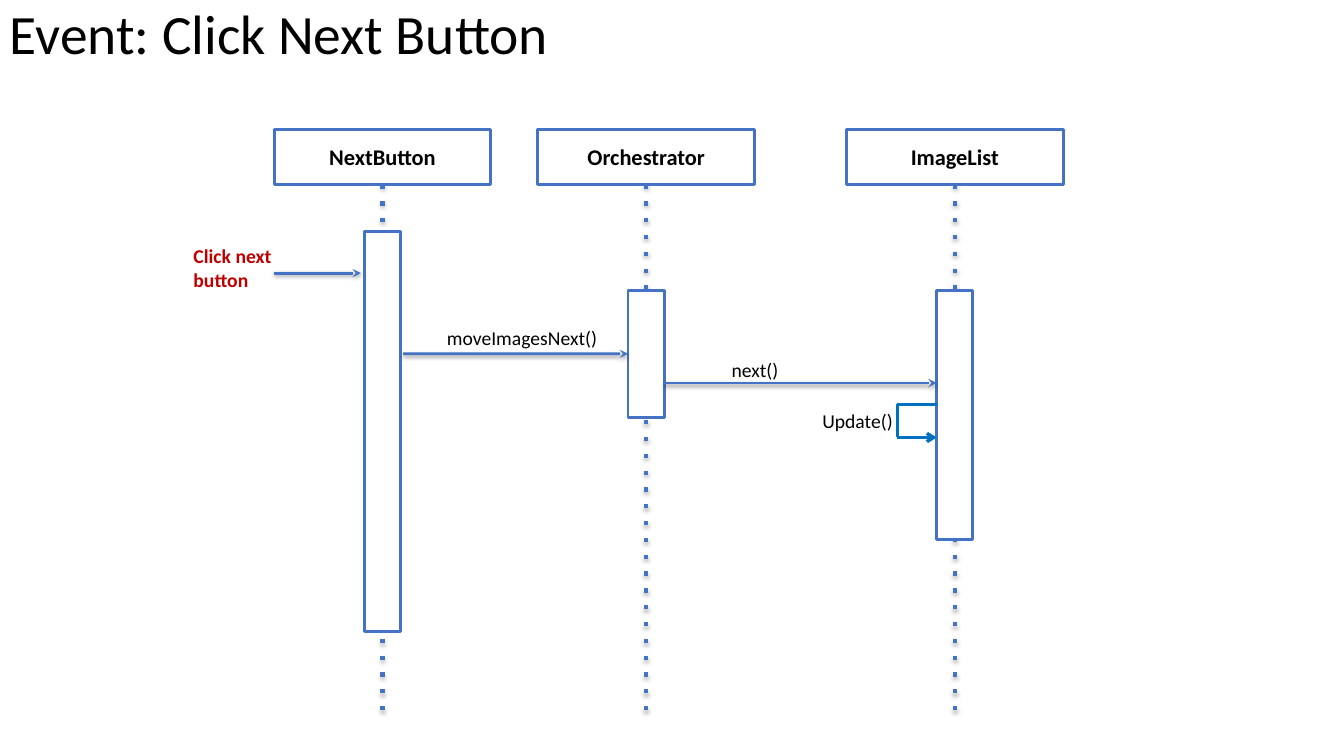
from dataclasses import dataclass

import pptx
import pptx.dml.color
import pptx.enum.shapes
import pptx.enum.text
import pptx.oxml.ns
import pptx.util
from lxml import etree

Pt = pptx.util.Pt
Align = pptx.enum.text.PP_ALIGN
Anchor = pptx.enum.text.MSO_ANCHOR
AutoSize = pptx.enum.text.MSO_AUTO_SIZE


@dataclass(frozen=True)
class Theme:
    font: str = "Calibri"
    ink: str = "000000"
    paper: str = "FFFFFF"
    blue: str = "4472C4"
    self_call: str = "0070C0"
    event: str = "C00000"
    title_size: float = 39.6
    head_size: float = 16
    label_size: float = 14
    outline: float = 2
    lifeline: float = 3
    self_call_line: float = 2.25


THEME = Theme()

# Shared measures of the sequence diagram
HEAD_TOP, HEAD_WIDTH, HEAD_HEIGHT = 92.2, 154.8, 39.6
BAR_WIDTH = 25.9
LIFELINE_END = 509.8
WIDE_INSETS = (8.6, 4.3)
SHADOW_BLUR = 3.1

# Name, centre of the lifeline, top and height of the activation bar
PARTICIPANTS = [
    ("NextButton", 273.2, 165.6, 285.8),
    ("Orchestrator", 461.6, 207.4, 90.7),
    ("ImageList", 682, 207.4, 177.8),
]


def rgb(value):
    return pptx.dml.color.RGBColor.from_string(value)


def add_xml(parent, tag, **attributes):
    return etree.SubElement(parent, pptx.oxml.ns.qn(tag), attributes)


def write(shape, text, size, color=THEME.ink, bold=False, align=Align.LEFT,
          anchor=Anchor.TOP, insets=None):
    frame = shape.text_frame
    frame.text = text
    frame.word_wrap = True
    frame.vertical_anchor = anchor
    if insets:
        frame.margin_left = frame.margin_right = Pt(insets[0])
        frame.margin_top = frame.margin_bottom = Pt(insets[1])
    paragraph = frame.paragraphs[0]
    paragraph.alignment = align
    font = paragraph.runs[0].font
    font.name, font.size, font.bold = THEME.font, Pt(size), bold
    font.color.rgb = rgb(color)
    return frame


def add_text(slide, box, text, size, **style):
    return write(slide.shapes.add_textbox(*map(Pt, box)), text, size, **style)


def add_box(slide, left, top, width, height):
    box = slide.shapes.add_shape(pptx.enum.shapes.MSO_SHAPE.RECTANGLE,
                                 Pt(left), Pt(top), Pt(width), Pt(height))
    box.shadow.inherit = False
    box.fill.solid()
    box.fill.fore_color.rgb = rgb(THEME.paper)
    box.line.color.rgb = rgb(THEME.blue)
    box.line.width = Pt(THEME.outline)
    return box


def add_line(shapes, start, end, color, width, dash=None, arrow=None, shadow=None):
    """Draw a straight line; shadow is (opacity in percent, distance)."""
    line = shapes.add_connector(pptx.enum.shapes.MSO_CONNECTOR.STRAIGHT,
                                *map(Pt, (*start, *end)))
    line.line.color.rgb = rgb(color)
    line.line.width = Pt(width)
    properties = line.line._get_or_add_ln()
    if dash:
        add_xml(properties, "a:prstDash", val=dash)
    if arrow:
        add_xml(properties, "a:tailEnd", type=arrow)
    effects = add_xml(line._element.spPr, "a:effectLst")
    if shadow:
        opacity, distance = shadow
        outer = add_xml(effects, "a:outerShdw", blurRad=str(Pt(SHADOW_BLUR)),
                        dist=str(Pt(distance)), dir="5400000", rotWithShape="0")
        shade = add_xml(outer, "a:srgbClr", val=THEME.ink)
        add_xml(shade, "a:alpha", val=str(opacity * 1000))
    return line


def add_participant(slide, name, center, bar_top, bar_height):
    """Draw a lifeline with its bar and heading; return the bar."""
    lifeline = add_line(slide.shapes, (center, HEAD_TOP + HEAD_HEIGHT),
                        (center, LIFELINE_END), THEME.blue, THEME.lifeline,
                        dash="dot", shadow=(35, 1.8))
    bar = add_box(slide, center - BAR_WIDTH / 2, bar_top, BAR_WIDTH, bar_height)
    head = add_box(slide, center - HEAD_WIDTH / 2, HEAD_TOP, HEAD_WIDTH, HEAD_HEIGHT)
    write(head, name, THEME.head_size, bold=True, align=Align.CENTER,
          anchor=Anchor.MIDDLE, insets=WIDE_INSETS)
    lifeline.begin_connect(head, 2)
    return bar


def add_message(slide, start, end, y):
    return add_line(slide.shapes, (start, y), (end, y), THEME.blue, THEME.outline,
                    arrow="stealth", shadow=(38, 1.6))


def add_label(slide, box, text, align=Align.CENTER):
    frame = add_text(slide, box, text, THEME.label_size, align=align)
    frame.auto_size = AutoSize.SHAPE_TO_FIT_TEXT


def add_self_call(slide, bar_left, loop_left, top, bottom):
    loop = slide.shapes.add_group_shape().shapes
    corners = [(bar_left, top), (loop_left, top), (loop_left, bottom), (bar_left, bottom)]
    for start, end, arrow in zip(corners, corners[1:], (None, None, "arrow")):
        add_line(loop, start, end, THEME.self_call, THEME.self_call_line, arrow=arrow)


def main():
    deck = pptx.Presentation()
    deck.slide_width, deck.slide_height = Pt(960), Pt(540)
    slide = deck.slides.add_slide(deck.slide_layouts[6])

    # Title
    title = add_text(slide, (0, 0, 828, 52.6), "Event: Click Next Button",
                     THEME.title_size, anchor=Anchor.MIDDLE)
    title.paragraphs[0].line_spacing = 0.9

    # Participants
    bars = {row[0]: add_participant(slide, *row) for row in PARTICIPANTS}
    orchestrator, image_list = bars["Orchestrator"], bars["ImageList"]
    image_list_left = image_list.left.pt

    # Triggering event
    add_text(slide, (129.6, 169.9, 99.4, 35.3), "Click next button", THEME.label_size,
             color=THEME.event, bold=True, insets=WIDE_INSETS)
    add_message(slide, 195.8, 257.8, 195.1)

    # Messages between participants
    add_label(slide, (266.4, 229, 213.1, 24.5), "moveImagesNext()")
    move_next = add_message(slide, 288, orchestrator.left.pt, 252.7)
    move_next.end_connect(orchestrator, 1)
    add_label(slide, (432.7, 252, 213.1, 24.5), "next()")
    add_message(slide, orchestrator.left.pt + BAR_WIDTH, image_list_left, 273.6)

    # Self call of the image list
    add_label(slide, (580.3, 288.7, 149, 24.5), "Update()", align=Align.LEFT)
    add_self_call(slide, image_list_left, 640.8, 288.7, 312.5)

    deck.save("out.pptx")


if __name__ == "__main__":
    main()
